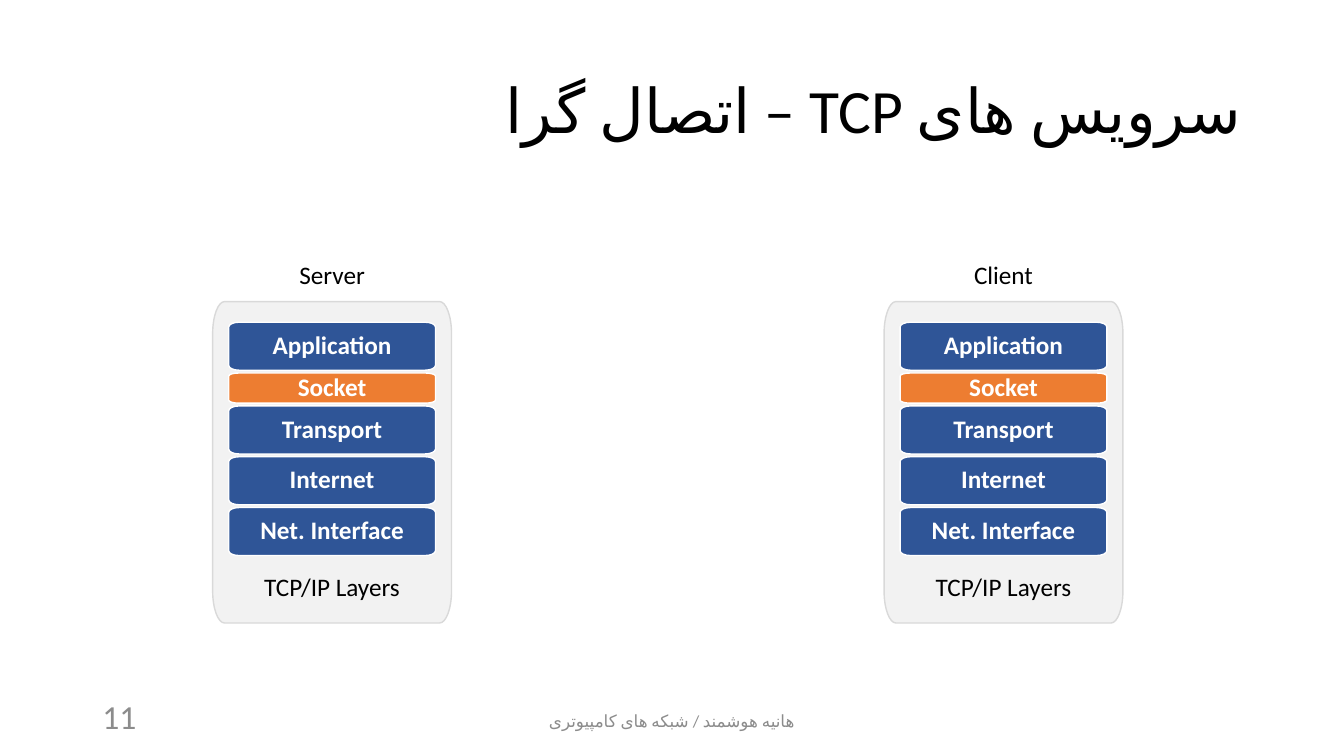
from pptx import Presentation
from pptx.dml.color import RGBColor
from pptx.enum.text import MSO_ANCHOR, PP_ALIGN
from pptx.oxml.ns import qn
from pptx.util import Cm, Pt
from lxml.etree import SubElement

# Content
TITLE = "سرویس های TCP – اتصال گرا"
FOOTER = "هانیه هوشمند / شبکه های کامپیوتری"
NUMBER = "11"
STACK = "TCP/IP Layers"
HOSTS = [("Server", 5.36, 2.18), ("Client", 22.28, 2.01)]  # name, left, name width
BLUE, ORANGE = "2F5597", "ED7D31"
LAYERS = [  # name, height, fill
    ("Application", 1.21, BLUE),
    ("Socket", 0.76, ORANGE),
    ("Transport", 1.21, BLUE),
    ("Internet", 1.21, BLUE),
    ("Net. Interface", 1.21, BLUE),
]

# Measures in cm
PANEL_W, PANEL_H, PANEL_TOP = 6.02, 8.1, 7.6
LAYER_W, LAYER_TOP, GAP = 5.21, 8.12, 0.07
NAME_TOP, STACK_TOP, STACK_W, LINE_H = 6.4, 14.27, 3.96, 1.02
BEND = 0.55  # pull of a curve towards its corner

# Formats
FONT = "Calibri"
BODY = {"size": Pt(18), "name": FONT, "color": "000000"}
HEAD = {**BODY, "size": Pt(44)}
FOOT = {**BODY, "size": Pt(12), "color": "8C8C8C"}
COUNT = {**FOOT, "size": Pt(24)}
LABEL = {**BODY, "color": "FFFFFF", "bold": True}


def paint(target, code):
    target.rgb = RGBColor.from_string(code)


def write(shape, text, style, align=PP_ALIGN.CENTER, anchor=MSO_ANCHOR.MIDDLE, wrap=True):
    frame = shape.text_frame
    frame.word_wrap = wrap
    frame.vertical_anchor = anchor
    para = frame.paragraphs[0]
    para.alignment = align
    run = para.add_run()
    run.text = text
    for key, value in style.items():
        if key == "color":
            paint(run.font.color, value)
        else:
            setattr(run.font, key, value)
    return para


def persian(para):
    """Set the language and the font of the Persian letters."""
    props = para.runs[0]._r.get_or_add_rPr()
    props.set("lang", "fa-IR")
    SubElement(props, qn("a:cs")).set("typeface", FONT)


def box(slide, left, top, width, height):
    return slide.shapes.add_textbox(Cm(left), Cm(top), Cm(width), Cm(height))


def caption(slide, text, mid, top, width):
    shape = box(slide, mid - width / 2, top, width, LINE_H)
    write(shape, text, BODY, anchor=MSO_ANCHOR.TOP, wrap=False)


def curve(shape):
    """Turn the four cut corners of an eight-point outline into curves."""
    points = list(shape._element.iter(qn("a:pt")))
    for turn in range(4):
        start, end = points[2 * turn:2 * turn + 2]
        ends = [(int(p.get("x")), int(p.get("y"))) for p in (start, end)]
        (x1, y1), (x2, y2) = ends
        cx, cy = (x2, y1) if turn % 2 else (x1, y2)
        line = end.getparent()
        line.tag = qn("a:cubicBezTo")
        for place, (x, y) in enumerate(ends):
            pull = line.makeelement(qn("a:pt"))
            pull.set("x", str(round(x + BEND * (cx - x))))
            pull.set("y", str(round(y + BEND * (cy - y))))
            line.insert(place, pull)


def plate(slide, left, top, width, height, fill, line):
    """Draw a box whose corners are 5% of its width and 10% of its height."""
    rx, ry = 0.05 * width, 0.1 * height
    right, low = left + width, top + height
    outline = [
        (right, low - ry), (right - rx, low), (left + rx, low), (left, low - ry),
        (left, top + ry), (left + rx, top), (right - rx, top), (right, top + ry),
    ]
    points = [(Cm(x), Cm(y)) for x, y in outline]
    pen = slide.shapes.build_freeform(*points[0])
    pen.add_line_segments(points[1:], close=True)
    shape = pen.convert_to_shape()
    curve(shape)
    shape.shadow.inherit = False
    shape.fill.solid()
    paint(shape.fill.fore_color, fill)
    paint(shape.line.color, line)
    shape.line.width = Pt(1)
    return shape


def host(slide, name, left, width):
    mid = left + PANEL_W / 2
    plate(slide, left, PANEL_TOP, PANEL_W, PANEL_H, "F2F2F2", "D9D9D9")
    top = LAYER_TOP
    for label, height, fill in LAYERS:
        layer = plate(slide, mid - LAYER_W / 2, top, LAYER_W, height, fill, "FFFFFF")
        for side in ("left", "top", "right", "bottom"):
            setattr(layer.text_frame, "margin_" + side, Cm(0.13))
        write(layer, label, LABEL).line_spacing = 0.9
        top += height + GAP
    caption(slide, STACK, mid, STACK_TOP, STACK_W)
    caption(slide, name, mid, NAME_TOP, width)


def main():
    deck = Presentation()
    deck.slide_width, deck.slide_height = Cm(33.87), Cm(19.05)
    slide = deck.slides.add_slide(deck.slide_layouts[6])

    # Title, right to left
    head = write(box(slide, 2.33, 1.01, 29.21, 3.68), TITLE, HEAD, PP_ALIGN.RIGHT)
    head.line_spacing = 0.9
    head._p.get_or_add_pPr().set("rtl", "1")
    persian(head)

    # Footer and slide number
    persian(write(box(slide, 11.22, 17.66, 11.43, 1.01), FOOTER, FOOT))
    write(box(slide, 2.33, 17.53, 7.62, 1.01), NUMBER, COUNT, PP_ALIGN.LEFT)

    # Both hosts
    for name, left, width in HOSTS:
        host(slide, name, left, width)
    deck.save("out.pptx")


if __name__ == "__main__":
    main()
